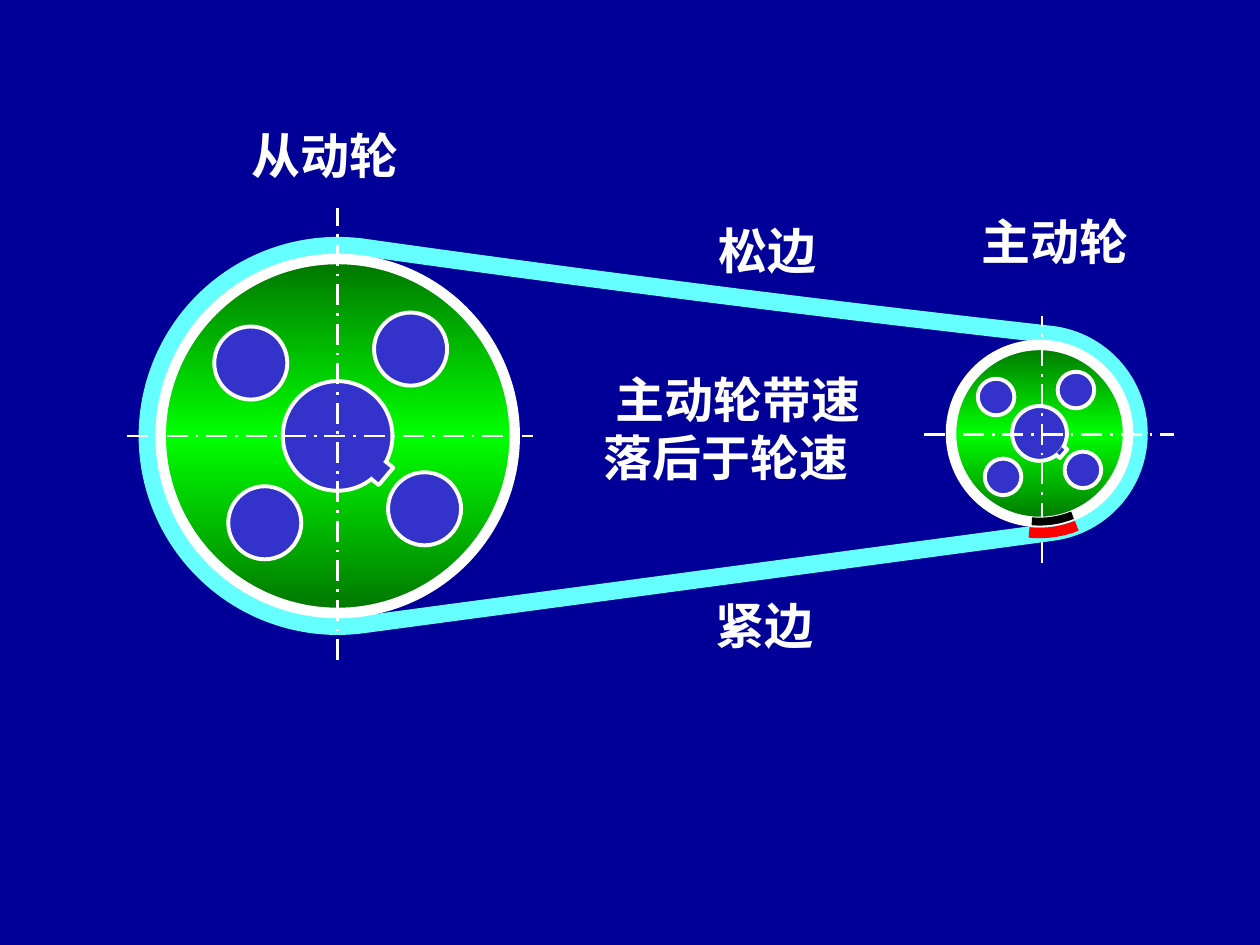
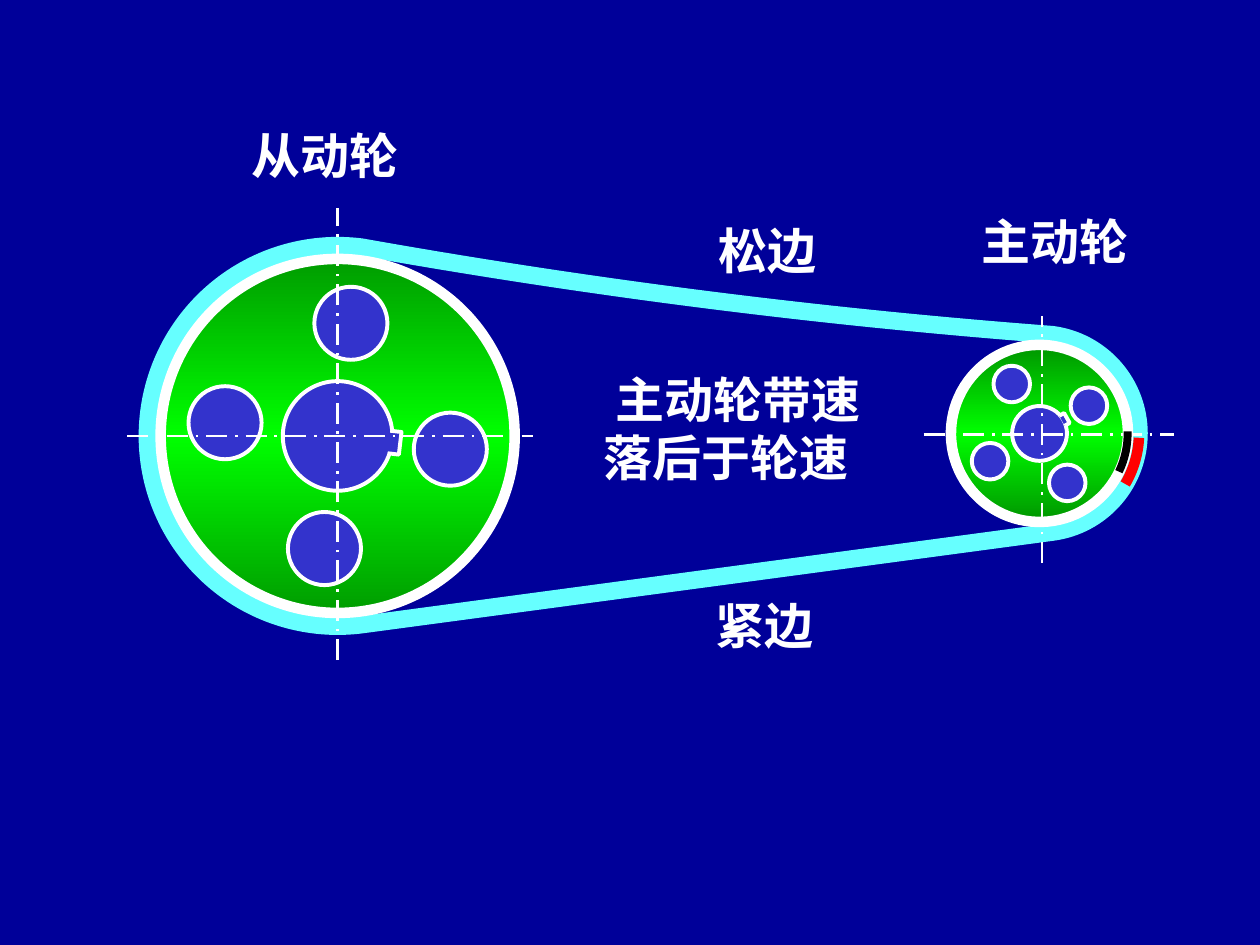
from math import asin, atan2, cos, degrees, dist, radians, sin, tan

from lxml import etree
from pptx import Presentation
from pptx.dml.color import RGBColor
from pptx.enum.dml import MSO_LINE
from pptx.enum.shapes import MSO_CONNECTOR, MSO_SHAPE
from pptx.oxml import parse_xml
from pptx.oxml.ns import nsdecls, qn
from pptx.util import Inches, Pt

ELLIPSE = MSO_SHAPE.OVAL
STRAIGHT = MSO_CONNECTOR.STRAIGHT
LONG_DASH_DOT = MSO_LINE.LONG_DASH_DOT
FONT = "Times New Roman"
COLORS = {"back": "000099", "belt": "66FFFF", "rim": "007500", "shine": "00FF00",
          "hole": "3333CC", "white": "FFFFFF", "wheel_mark": "000000", "belt_mark": "FF0000"}

# Labels: text, middle, top
LABELS = [("主动轮", 8.37, 1.63), ("从动轮", 2.58, 0.95),
          ("松边", 6.09, 1.7), ("紧边", 6.07, 4.68)]
LABEL_HEIGHT, CHARACTER_WIDTH, LABEL_MARGIN = 0.57, 0.4, 0.3
CAPTION = "主动轮带速落后于轮速"
CAPTION_BOX, CAPTION_INDENT = (4.69, 2.88, 2.35, 1.04), 0.1

# Wheels: centre, scale, and radius of the belt around it
DRIVEN = {"center": (2.68, 3.46), "scale": 1, "belt_radius": 1.51}
DRIVER = {"center": (8.25, 3.44), "scale": 0.5, "belt_radius": 0.79}

# Wheel design at full size; angles run clockwise from the right
DISC, HUB, HOLE, HOLE_ORBIT = 2.81, 0.87, 0.58, 0.9
KEY_ANGLE = 40
HOLE_ANGLES = [KEY_ANGLE + quarter * 90 for quarter in range(4)]
KEY_INNER, KEY_OUTER, KEY_HALF_WIDTH = 0.41, 0.5, 0.09
AXES = [((1.01, 3.46), (4.23, 3.46)), ((2.68, 5.24), (2.68, 1.65)),
        ((7.33, 3.45), (9.32, 3.45)), ((8.27, 4.47), (8.27, 2.51))]

# Marks on the driver: radius, start angle, end angle, line width
WHEEL_MARK = (0.7, 68, 95, 4.5)
BELT_MARK = (DRIVER["belt_radius"], 68, 96, 6)

# Two moments: the belt mark turns less far back than the driver does
MOMENTS = [
    {"driver_turn": 0, "driven_turn": 0, "belt_turn": 0, "slack_sag": 0.02},
    {"driver_turn": -69.3, "driven_turn": -33.3, "belt_turn": -65.5, "slack_sag": 0.07},
]


def rgb(name):
    return RGBColor.from_string(COLORS[name])


# Geometry: a curve is a start point, then control, control, end per piece
def place(offset, center, angle, scale=1):
    """Turn and scale an offset, then move it to the centre."""
    (dx, dy), turn = offset, radians(angle)
    return (center[0] + scale * (dx * cos(turn) - dy * sin(turn)),
            center[1] + scale * (dx * sin(turn) + dy * cos(turn)))


def arc(center, radius, start, end, pieces=4):
    """Approximate a clockwise circular arc by equal Bezier pieces."""
    step = (end - start) / pieces
    handle = 4 / 3 * tan(radians(step / 4))
    points = [place((1, 0), center, start, radius)]
    for piece in range(pieces):
        angle = start + piece * step
        points += [place((1, handle), center, angle, radius),
                   place((1, -handle), center, angle + step, radius),
                   place((1, 0), center, angle + step, radius)]
    return points


def span(start, end, sag=0):
    """Controls between two points, lowered so the middle hangs by sag."""
    return [(start[0] + (end[0] - start[0]) * part,
             start[1] + (end[1] - start[1]) * part + sag * 4 / 3)
            for part in (1 / 3, 2 / 3)]


def belt_curve(slack_sag):
    """Wrap both wheels with arcs that meet on the two outer tangents."""
    (x1, y1), (x2, y2) = DRIVEN["center"], DRIVER["center"]
    big, small = DRIVEN["belt_radius"], DRIVER["belt_radius"]
    tilt = degrees(atan2(y2 - y1, x2 - x1))
    contact = 90 - degrees(asin((big - small) / dist((x1, y1), (x2, y2))))
    around_driver = arc((x2, y2), small, tilt - contact, tilt + contact)
    around_driven = arc((x1, y1), big, tilt + contact, tilt + 360 - contact)
    tight_side = span(around_driver[-1], around_driven[0])
    slack_side = span(around_driven[-1], around_driver[0], slack_sag)
    return around_driver + tight_side + around_driven + slack_side + around_driver[:1]


# Drawing
def style(shape, fill, line, width):
    shape.shadow.inherit = False
    if fill:
        shape.fill.solid()
        shape.fill.fore_color.rgb = rgb(fill)
    else:
        shape.fill.background()
    shape.line.color.rgb = rgb(line)
    shape.line.width = Pt(width)


def add_outline(slide, points, fill, line, width, close=False):
    start, *rest = [(Inches(x), Inches(y)) for x, y in points]
    builder = slide.shapes.build_freeform(*start)
    builder.add_line_segments(rest, close=close)
    outline = builder.convert_to_shape()
    style(outline, fill, line, width)
    return outline


def add_curve(slide, points, line, width, close=False):
    """Draw an outline and join each three line pieces into one Bezier piece."""
    curve = add_outline(slide, points, None, line, width, close)
    pieces = list(curve.element.iter(qn("a:lnTo")))
    for first in range(0, len(points) - 1, 3):
        bezier = etree.Element(qn("a:cubicBezTo"))
        pieces[first].addprevious(bezier)
        for piece in pieces[first:first + 3]:
            bezier.append(piece[0])
            piece.getparent().remove(piece)


def add_circle(slide, center, size, width):
    x, y = center
    circle = slide.shapes.add_shape(ELLIPSE, Inches(x - size / 2), Inches(y - size / 2),
                                    Inches(size), Inches(size))
    style(circle, "hole", "white", width)
    return circle


def add_wheel(slide, wheel, turn):
    center, scale = wheel["center"], wheel["scale"]

    # Disc with a vertical shine that does not turn with the wheel
    disc = add_circle(slide, center, DISC * scale, 6)
    disc.rotation = turn % 360
    stops = "".join(f'<a:gs pos="{pos}"><a:srgbClr val="{COLORS[name]}"/></a:gs>'
                    for pos, name in ((0, "rim"), (50000, "shine"), (100000, "rim")))
    solid = disc.element.spPr.find(qn("a:solidFill"))
    solid.getparent().replace(solid, parse_xml(
        f'<a:gradFill {nsdecls("a")} rotWithShape="0"><a:gsLst>{stops}</a:gsLst>'
        '<a:lin ang="5400000" scaled="1"/></a:gradFill>'))

    # Holes, hub and key
    for angle in HOLE_ANGLES:
        hole_center = place((HOLE_ORBIT, 0), center, angle + turn, scale)
        add_circle(slide, hole_center, HOLE * scale, 2.25)
    add_circle(slide, center, HUB * scale, 2.25)
    key = [(KEY_INNER, -KEY_HALF_WIDTH), (KEY_OUTER, -KEY_HALF_WIDTH),
           (KEY_OUTER, KEY_HALF_WIDTH), (KEY_INNER, KEY_HALF_WIDTH)]
    add_outline(slide, [place(corner, center, KEY_ANGLE + turn, scale) for corner in key],
                "hole", "white", 2.25)


def add_axis(slide, start, end):
    axis = slide.shapes.add_connector(STRAIGHT, *map(Inches, start + end))
    axis.line.color.rgb = rgb("white")
    axis.line.width = Pt(1.5)
    axis.line.dash_style = LONG_DASH_DOT
    etree.SubElement(axis.element.spPr, qn("a:effectLst"))


def add_mark(slide, mark, turn, color):
    radius, start, end, width = mark
    points = arc(DRIVER["center"], radius, start + turn, end + turn, pieces=1)
    add_curve(slide, points, color, width)


def add_text(slide, text, box, indent=0):
    label = slide.shapes.add_textbox(*map(Inches, box))
    label.text_frame.word_wrap = True
    paragraph = label.text_frame.paragraphs[0]
    properties = paragraph._p.get_or_add_pPr()
    properties.set("algn", "l" if indent else "ctr")
    properties.set("indent", str(Inches(indent)))
    run = paragraph.add_run()
    run.text = text
    run.font.name = FONT
    run.font.size = Pt(28)
    run.font.bold = True
    run.font.color.rgb = rgb("white")


def add_moment(prs, moment):
    slide = prs.slides.add_slide(prs.slide_layouts[6])

    # Belt, wheels and centre lines
    add_curve(slide, belt_curve(moment["slack_sag"]), "belt", 10, close=True)
    add_wheel(slide, DRIVER, moment["driver_turn"])
    add_wheel(slide, DRIVEN, moment["driven_turn"])
    for start, end in AXES:
        add_axis(slide, start, end)

    # Marks that show the lag
    add_mark(slide, WHEEL_MARK, moment["driver_turn"], "wheel_mark")
    add_mark(slide, BELT_MARK, moment["belt_turn"], "belt_mark")

    # Caption and labels
    add_text(slide, CAPTION, CAPTION_BOX, CAPTION_INDENT)
    for text, middle, top in LABELS:
        width = len(text) * CHARACTER_WIDTH + LABEL_MARGIN
        add_text(slide, text, (middle - width / 2, top, width, LABEL_HEIGHT))


def main():
    prs = Presentation()
    prs.slide_width, prs.slide_height = Inches(10), Inches(7.5)
    background = prs.slide_master.background.fill
    background.solid()
    background.fore_color.rgb = rgb("back")
    for moment in MOMENTS:
        add_moment(prs, moment)
    prs.save("out.pptx")


if __name__ == "__main__":
    main()
